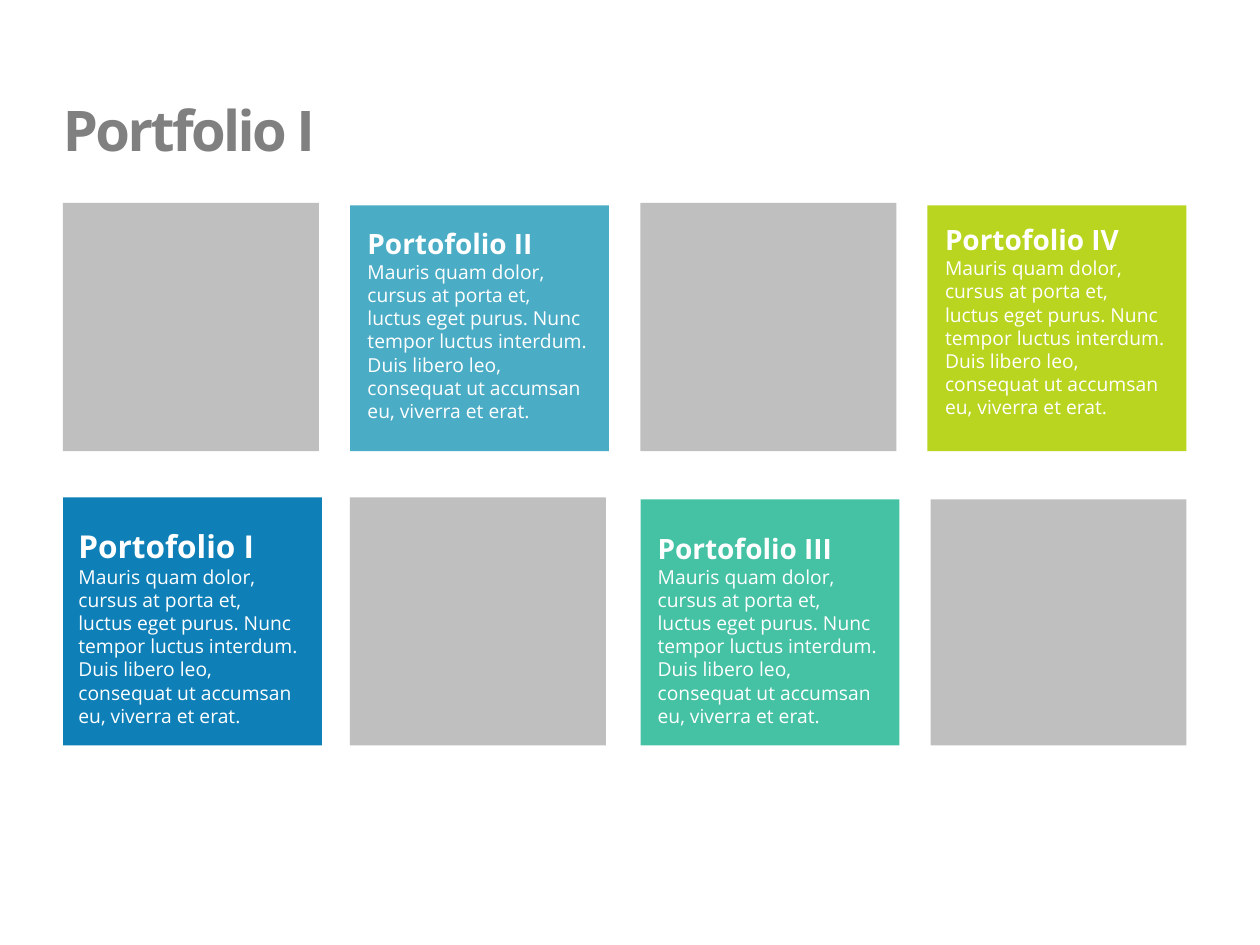
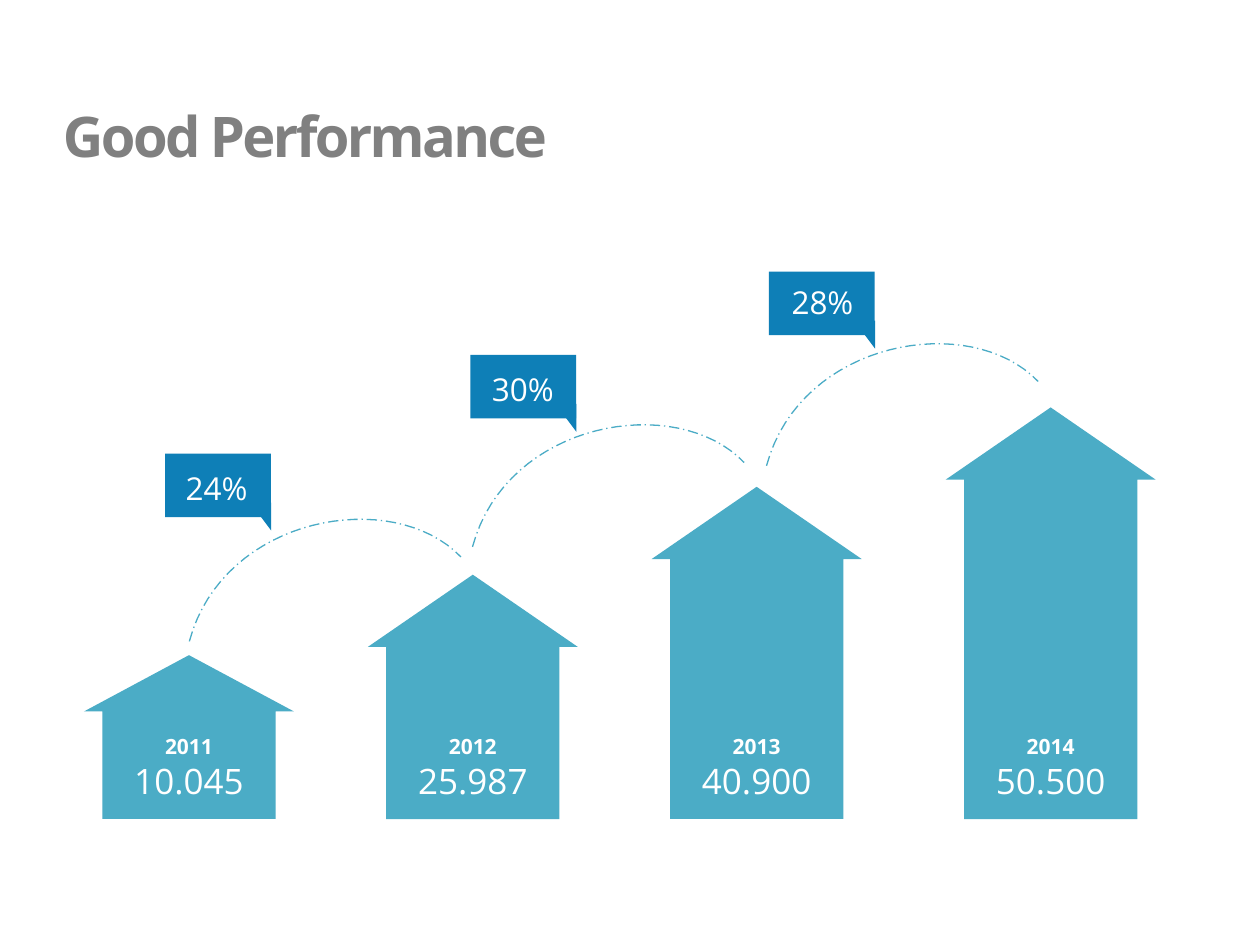
from typing import NamedTuple

from pptx import Presentation
from pptx.dml.color import RGBColor
from pptx.enum.dml import MSO_LINE
from pptx.enum.shapes import MSO_SHAPE as Kind
from pptx.enum.text import MSO_AUTO_SIZE as Fit, PP_ALIGN as Align
from pptx.util import Pt

FONT = "Open Sans"
HUES = {
    "white": "FFFFFF", "title": "808080", "photo": "BFBFBF",
    "blue": "0E7FB7", "sky": "4BACC6", "teal": "45C1A4", "lime": "B9D51F",
}
BLURB = ("Mauris quam dolor, cursus at porta et, luctus eget purus. "
         "Nunc tempor luctus interdum. Duis libero leo, "
         "consequat ut accumsan eu, viverra et erat.")


class Box(NamedTuple):
    left: float
    top: float
    width: float
    height: float


class Line(NamedTuple):
    text: str
    size: float
    bold: bool = False
    space: float = 1.0


class Card(NamedTuple):
    box: Box
    hue: str
    name: str
    size: float
    note: Box


class Year(NamedTuple):
    label: str
    value: str
    left: float
    top: float


class Rise(NamedTuple):
    text: str
    badge: tuple[float, float]
    label: tuple[float, float]
    arc: tuple[float, float]


# Slide 1: photo areas and cards
PHOTOS = [
    Box(36, 116, 146.2, 141.8), Box(200, 284.2, 146.2, 141.8),
    Box(366, 116, 146.2, 141.8), Box(531.8, 285.4, 146.2, 140.6),
]
CARDS = [
    Card(Box(36, 284.2, 148, 141.8), "blue", "Portofolio I", 18,
         Box(41.2, 278, 134, 140.4)),
    Card(Box(200, 117.4, 148, 140.4), "sky", "Portofolio II", 16,
         Box(206.4, 108.6, 134, 135.4)),
    Card(Box(366, 285.4, 148, 140.6), "teal", "Portofolio III", 16,
         Box(372.2, 282.8, 134, 135.4)),
    Card(Box(530, 117.4, 148, 140.4), "lime", "Portofolio IV", 16,
         Box(536.4, 106.4, 134, 135.4)),
]

# Slide 2: yearly arrows and the rises between them
BASE, WIDE = 468, 120
YEARS = [
    Year("2011", "10.045", 48, 374.4), Year("2012", "25.987", 210.2, 328.4),
    Year("2013", "40.900", 372.4, 278.2), Year("2014", "50.500", 540.4, 232.8),
]
RISES = [
    Rise("24%", (94.4, 259.2), (98.6, 266.4), (108.2, 366.5)),
    Rise("30%", (268.8, 202.8), (273.6, 209.4), (270, 312.5)),
    Rise("28%", (439.4, 155.2), (444.8, 159.8), (438, 266.2)),
]
CURVE = [(0, 0), (19.4, -72), (116.6, -88.6), (155.2, -48.2)]
STEPS = 32


def hue(name: str) -> RGBColor:
    return RGBColor.from_string(HUES[name])


def place(box: Box) -> list:
    return [Pt(n) for n in box]


def block(shapes, kind, box: Box, name: str):
    """Add a flat filled shape."""
    shape = shapes.add_shape(kind, *place(box))
    shape.shadow.inherit = False
    shape.fill.solid()
    shape.fill.fore_color.rgb = hue(name)
    shape.line.fill.background()
    return shape


def write(slide, box: Box, lines: list[Line], name: str = "white",
          align=Align.LEFT, wrap: bool = True):
    """Add a text box with one paragraph per line."""
    frame = slide.shapes.add_textbox(*place(box)).text_frame
    frame.word_wrap = wrap
    frame.auto_size = Fit.SHAPE_TO_FIT_TEXT
    frame.margin_left = frame.margin_right = Pt(3.6)
    frame.margin_top = frame.margin_bottom = Pt(1.8)
    frame.text = "\n".join(line.text for line in lines)
    for par, line in zip(frame.paragraphs, lines):
        par.alignment, par.line_spacing = align, line.space
        font = par.font
        font.name, font.size, font.bold = FONT, Pt(line.size), line.bold
        font.color.rgb = hue(name)
    return frame


def start(deck, title: str, box: Box):
    """Add a blank slide with the shared title style."""
    slide = deck.slides.add_slide(deck.slide_layouts[6])
    frame = write(slide, box, [Line(title, 32, True)], "title", wrap=False)
    run = frame.paragraphs[0].runs[0]
    run._r.get_or_add_rPr().set("spc", "-150")
    return slide


def draw_card(slide, card: Card) -> None:
    block(slide.shapes, Kind.RECTANGLE, card.box, card.hue)
    write(slide, card.note,
          [Line(card.name, card.size, True, 2.0), Line(BLURB, 11)])


def draw_year(slide, year: Year) -> None:
    box = Box(year.left, year.top, WIDE, BASE - year.top)
    arrow = block(slide.shapes, Kind.UP_ARROW, box, "sky")
    arrow.adjustments[0], arrow.adjustments[1] = 0.825, 0.344
    write(slide, Box(year.left + (WIDE - 93) / 2, 417.6, 93, 42.5),
          [Line(year.label, 12, True), Line(year.value, 20)],
          align=Align.CENTER)


def bend(t: float) -> tuple[float, float]:
    """Return the point at t on the cubic curve."""
    parts = [(1 - t) ** 3, 3 * t * (1 - t) ** 2, 3 * t * t * (1 - t), t ** 3]
    return (sum(w * x for w, (x, _) in zip(parts, CURVE)),
            sum(w * y for w, (_, y) in zip(parts, CURVE)))


def draw_rise(slide, rise: Rise) -> None:
    # Dashed arc
    left, top = rise.arc
    dots = [bend(i / STEPS) for i in range(STEPS + 1)]
    path = [(Pt(left + x), Pt(top + y)) for x, y in dots]
    pen = slide.shapes.build_freeform(*path[0], scale=1.0)
    pen.add_line_segments(path[1:], close=False)
    arc = pen.convert_to_shape()
    arc.shadow.inherit = False
    arc.fill.background()
    arc.line.color.rgb = hue("sky")
    arc.line.width = Pt(0.75)
    arc.line.dash_style = MSO_LINE.LONG_DASH_DOT

    # Badge with its tail
    left, top = rise.badge
    group = slide.shapes.add_group_shape().shapes
    block(group, Kind.RECTANGLE, Box(left, top, 60.5, 36.4), "blue")
    tail = Box(left + 48.6, top + 28, 12, 16)
    block(group, Kind.RIGHT_TRIANGLE, tail, "blue").rotation = 180
    write(slide, Box(*rise.label, 50.4, 25.2), [Line(rise.text, 18)],
          align=Align.CENTER)


def main() -> None:
    deck = Presentation()
    deck.slide_width, deck.slide_height = Pt(720), Pt(540)

    slide = start(deck, "Portfolio I", Box(32.4, 52.6, 151.2, 42.5))
    for box in PHOTOS:
        block(slide.shapes, Kind.RECTANGLE, box, "photo")
    for card in CARDS:
        draw_card(slide, card)

    slide = start(deck, "Good Performance", Box(32.4, 56.2, 285, 42.5))
    for year in YEARS:
        draw_year(slide, year)
    for rise in RISES:
        draw_rise(slide, rise)

    deck.save("out.pptx")


if __name__ == "__main__":
    main()
